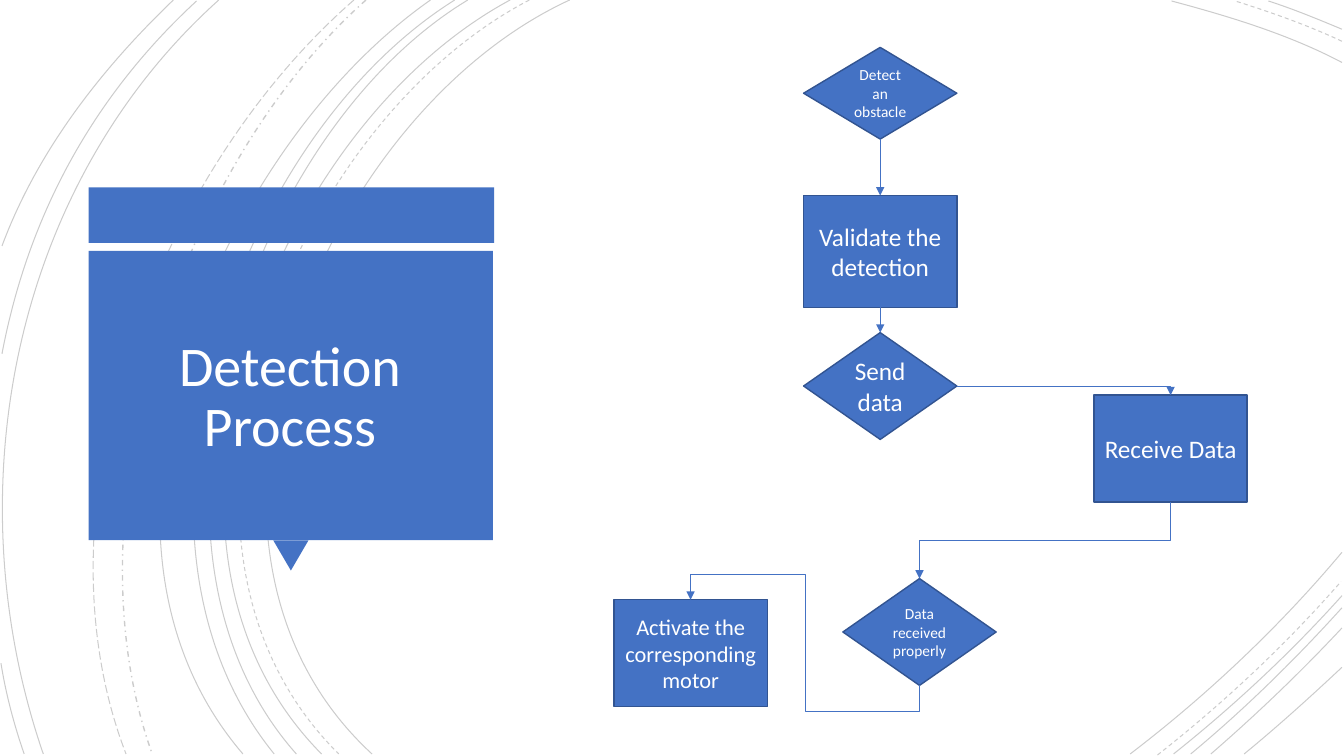
from lxml import etree
from pptx import Presentation
from pptx.dml.color import RGBColor
from pptx.enum.dml import MSO_LINE
from pptx.enum.shapes import MSO_CONNECTOR, MSO_SHAPE
from pptx.enum.text import MSO_ANCHOR, MSO_AUTO_SIZE, PP_ALIGN
from pptx.oxml import parse_xml
from pptx.oxml.ns import nsdecls, qn
from pptx.util import Inches, Pt

SOLID, DASH = MSO_LINE.SOLID, MSO_LINE.DASH
DASH_DOT, LONG_DASH = MSO_LINE.DASH_DOT, MSO_LINE.LONG_DASH
RECT, DIAMOND = MSO_SHAPE.RECTANGLE, MSO_SHAPE.FLOWCHART_DECISION
TRIANGLE = MSO_SHAPE.ISOSCELES_TRIANGLE
STRAIGHT, ELBOW = MSO_CONNECTOR.STRAIGHT, MSO_CONNECTOR.ELBOW
TOP, BOTTOM, RIGHT = 0, 2, 3

COLORS = {"blue": "4472C4", "edge": "325491", "white": "FFFFFF", "arc": "000000"}
FONT = "Calibri"
ARC_OPACITY = 20

TITLE = "Detection Process"
TITLE_BOX = (0.99, 2.64, 3.77, 2.62)
PANEL = [  # preset, box, rotation
    (RECT, (0.88, 1.86, 4.02, 0.55), 0),
    (TRIANGLE, (2.71, 5.36, 0.35, 0.3), 180),
    (RECT, (0.88, 2.49, 4.01, 2.87), 0),
]

# dash style, line width, then start, two control points and end of each curve
ARCS = [
    (SOLID, 0.75, (5.65, 0), (3.15, 1.15), (1.43, 5.4), (3.69, 7.48)),
    (SOLID, 0.75, (13.31, 0.62), (12.78, 0.34), (12.18, 0.16), (11.62, 0.01)),
    (SOLID, 0.75, (11.21, 7.48), (11.97, 6.9), (12.69, 6.22), (13.31, 5.48)),
    (DASH, 0.75, (5.25, 0), (2.85, 1.25), (1.23, 5.37), (3.36, 7.48)),
    (DASH, 0.75, (13.31, 0.41), (12.97, 0.25), (12.6, 0.12), (12.25, 0.01)),
    (DASH, 0.75, (11.48, 7.49), (12.13, 6.98), (12.75, 6.4), (13.3, 5.77)),
    (SOLID, 0.75, (5.06, 0), (2.7, 1.27), (1.1, 5.37), (3.19, 7.48)),
    (SOLID, 0.75, (13.31, 0.29), (13.07, 0.19), (12.83, 0.09), (12.58, 0.01)),
    (SOLID, 0.75, (11.64, 7.48), (12.23, 7.01), (12.8, 6.48), (13.31, 5.91)),
    (SOLID, 0.75, (4.64, 0), (2.44, 1.33), (1.1, 5.41), (2.94, 7.48)),
    (SOLID, 0.75, (11.81, 7.48), (12.34, 7.04), (12.84, 6.55), (13.31, 6.03)),
    (SOLID, 0.75, (4.51, 0), (2.31, 1.38), (0.97, 5.33), (2.72, 7.48)),
    (SOLID, 0.75, (12.01, 7.48), (12.46, 7.09), (12.9, 6.67), (13.31, 6.23)),
    (SOLID, 0.75, (4.27, 0), (2.17, 1.47), (0.53, 5.29), (2.41, 7.48)),
    (SOLID, 0.75, (12.34, 7.48), (12.67, 7.21), (12.99, 6.92), (13.31, 6.62)),
    (DASH_DOT, 1, (3.63, 0), (1.76, 1.66), (0.65, 5.09), (1.51, 7.48)),
    (LONG_DASH, 0.75, (3.51, 0), (1.57, 1.69), (0.29, 4.99), (1.25, 7.48)),
    (SOLID, 0.75, (2.17, 0), (0.11, 1.85), (-0.46, 4.9), (0.43, 7.48)),
    (SOLID, 0.75, (1.95, 0.01), (0.92, 0.96), (0.28, 2.14), (0.02, 3.51)),
    (SOLID, 0.75, (0.01, 6.58), (0.06, 6.89), (0.14, 7.19), (0.24, 7.48)),
    (SOLID, 0.75, (1.72, 0), (1, 0.69), (0.37, 1.5), (0.02, 2.44)),
]

STEP_W = 1.52
STEPS = {  # preset, left, top, height, text, size
    "detect": (DIAMOND, 7.97, 0.47, 0.91, "Detect an obstacle", 11),
    "validate": (RECT, 7.97, 1.94, 1.11, "Validate the detection", 18),
    "send": (DIAMOND, 7.97, 3.3, 1.06, "Send data", 18),
    "receive": (RECT, 10.85, 3.92, 1.06, "Receive Data", 18),
    "check": (DIAMOND, 8.36, 5.74, 1.06, "Data received properly", 11),
    "activate": (RECT, 6.09, 5.95, 1.06, "Activate the corresponding motor", 16),
}
LINKS = [  # from, side, to, elbow preset, elbow adjustments
    ("detect", BOTTOM, "validate", None, ()),
    ("validate", BOTTOM, "send", None, ()),
    ("send", RIGHT, "receive", "bentConnector2", ()),
    ("receive", BOTTOM, "check", "bentConnector3", (0.5,)),
    ("check", BOTTOM, "activate", "bentConnector5", (-0.298, 0.5, 1.298)),
]


def rgb(name):
    return RGBColor.from_string(COLORS[name])


def inches(values):
    return [Inches(v) for v in values]


def write(tf, text, size):
    tf.word_wrap = True
    tf.auto_size = MSO_AUTO_SIZE.NONE
    tf.vertical_anchor = MSO_ANCHOR.MIDDLE
    p = tf.paragraphs[0]
    p.alignment = PP_ALIGN.CENTER
    r = p.add_run()
    r.text = text
    for key, value in {"name": FONT, "size": Pt(size)}.items():
        setattr(r.font, key, value)
    r.font.color.rgb = rgb("white")
    return p


def add_block(shapes, preset, box):
    sp = shapes.add_shape(preset, *inches(box))
    sp.shadow.inherit = False
    sp.fill.solid()
    sp.fill.fore_color.rgb = rgb("blue")
    sp.line.fill.background()
    return sp


def add_arc(shapes, dash, width, start, *points):
    """Draw one open cubic curve in a translucent line."""
    builder = shapes.build_freeform(*inches(start))
    builder.add_line_segments([inches(pt) for pt in points], close=False)
    sp = builder.convert_to_shape()
    path_el = next(sp._element.iter(qn("a:path")))
    curve = etree.SubElement(path_el, qn("a:cubicBezTo"))
    for segment in path_el.findall(qn("a:lnTo")):
        curve.append(segment[0])
        path_el.remove(segment)
    sp.shadow.inherit = False
    sp.fill.background()
    sp.line.width = Pt(width)
    sp.line.color.rgb = rgb("arc")
    sp.line.dash_style = dash
    color = next(sp.line._ln.iter(qn("a:srgbClr")))
    etree.SubElement(color, qn("a:alpha"), val=str(ARC_OPACITY * 1000))


def turn_elbow(c):
    """Make an elbow leave vertically: a quarter turn about its centre."""
    left, top, width, height = c.left, c.top, c.width, c.height
    upward = c.end_y < c.begin_y
    c.left = left + (width - height) // 2
    c.top = top + (height - width) // 2
    c.width, c.height = height, width
    xfrm = c._element.spPr.find(qn("a:xfrm"))
    for key, value in {"rot": "5400000", "flipH": str(int(upward)), "flipV": "0"}.items():
        xfrm.set(key, value)


def add_link(shapes, source, side, target, preset, adjustments):
    c = shapes.add_connector(ELBOW if preset else STRAIGHT, 0, 0, 0, 0)
    c.begin_connect(source, side)
    c.end_connect(target, TOP)
    c.line.width = Pt(0.5)
    c.line.color.rgb = rgb("blue")
    etree.SubElement(c.line._ln, qn("a:tailEnd"), type="triangle")
    c._element.spPr.append(parse_xml(f"<a:effectLst {nsdecls('a')}/>"))
    if not preset:
        return
    geom = c._element.spPr.find(qn("a:prstGeom"))
    geom.set("prst", preset)
    guides = geom.find(qn("a:avLst"))
    for i, value in enumerate(adjustments, 1):
        etree.SubElement(guides, qn("a:gd"), name=f"adj{i}", fmla=f"val {round(value * 100000)}")
    if side == BOTTOM:
        turn_elbow(c)


def main():
    prs = Presentation()
    prs.slide_width, prs.slide_height = Inches(13.33), Inches(7.5)
    s = prs.slides.add_slide(prs.slide_layouts[5])

    arcs = s.shapes.add_group_shape()
    for arc in ARCS:
        add_arc(arcs.shapes, *arc)

    panel = s.shapes.add_group_shape()
    for preset, box, rotation in PANEL:
        add_block(panel.shapes, preset, box).rotation = rotation

    title = s.shapes.title
    title.left, title.top, title.width, title.height = inches(TITLE_BOX)
    write(title.text_frame, TITLE, 40).line_spacing = 0.9
    panel._element.addnext(title._element)

    steps = {}
    for name, (preset, left, top, height, text, size) in STEPS.items():
        sp = steps[name] = add_block(s.shapes, preset, (left, top, STEP_W, height))
        sp.line.color.rgb = rgb("edge")
        sp.line.width = Pt(1)
        write(sp.text_frame, text, size)

    for source, side, target, preset, adjustments in LINKS:
        add_link(s.shapes, steps[source], side, steps[target], preset, adjustments)

    prs.save("out.pptx")


if __name__ == "__main__":
    main()
